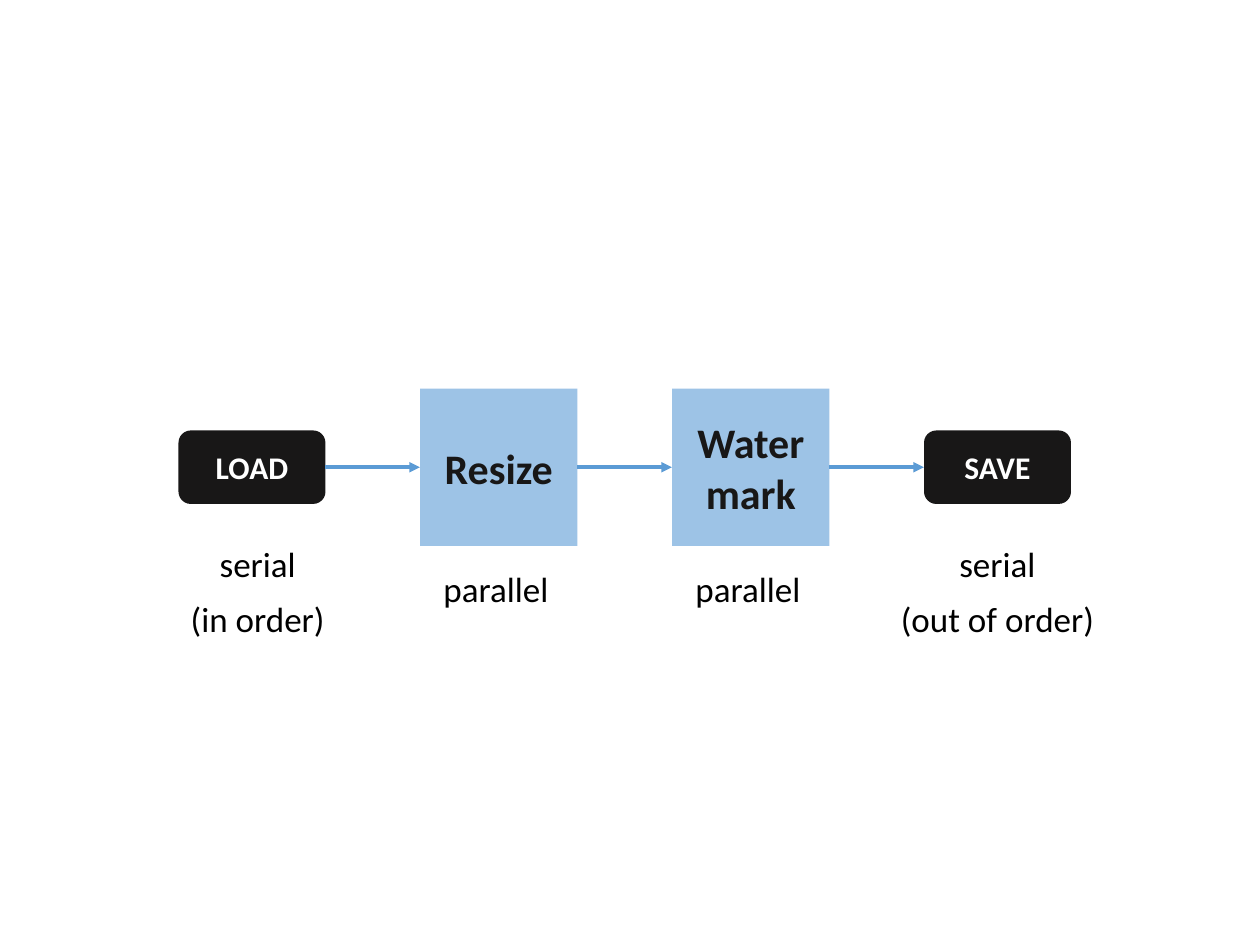
from dataclasses import dataclass

from lxml.etree import SubElement
from pptx import Presentation
from pptx.dml.color import RGBColor
from pptx.enum.shapes import MSO_CONNECTOR as Link, MSO_SHAPE as Form
from pptx.enum.text import MSO_ANCHOR as Anchor, PP_ALIGN as Align
from pptx.oxml.ns import qn
from pptx.shapes.shapetree import SlideShapes
from pptx.text.text import _Paragraph as Para
from pptx.util import Inches, Length, Pt

COLORS = {"dark": "181717", "sky": "9DC3E6", "arrow": "5B9BD5",
          "white": "FFFFFF", "black": "000000"}
FONT = "Calibri"
COLS, ROWS = 120, 90  # grid over the slide, 12 cells to the inch
START, GAP, AXIS = 17, 9, 44.5


@dataclass(frozen=True)
class Kind:
    form: Form
    wide: float
    high: float
    fill: str
    ink: str
    size: int
    note_top: float
    note_wide: float
    note_high: float
    align: Align


@dataclass(frozen=True)
class Stage:
    name: str
    kind: Kind
    notes: tuple[str, ...]
    shift: float = 0


ENDS = Kind(Form.ROUNDED_RECTANGLE, 14, 7, "dark", "white", 18,
            51.5, 23, 11.5, Align.CENTER)
STEP = Kind(Form.RECTANGLE, 15, 15, "sky", "dark", 24,
            53.9, 13, 7, Align.LEFT)
STAGES = (
    Stage("LOAD", ENDS, ("serial", "(in order)"), 0.55),
    Stage("Resize", STEP, ("parallel",), 0.05),
    Stage("Watermark", STEP, ("parallel",), 0.05),
    Stage("SAVE", ENDS, ("serial", "(out of order)")),
)


def cells(*counts: float) -> list[Length]:
    """Turn grid counts into lengths."""
    return [Inches(n / 12) for n in counts]


def color(name: str) -> RGBColor:
    return RGBColor.from_string(COLORS[name])


def add_run(para: Para, text: str, size: int, ink: str, bold: bool = False) -> None:
    run = para.add_run()
    run.text = text
    font = run.font
    font.name, font.size, font.bold = FONT, Pt(size), bold
    font.color.rgb = color(ink)


def add_box(shapes: SlideShapes, stage: Stage, left: float) -> None:
    kind = stage.kind
    box = shapes.add_shape(
        kind.form, *cells(left, AXIS - kind.high / 2, kind.wide, kind.high))
    box.shadow.inherit = False
    box.fill.solid()
    box.fill.fore_color.rgb = color(kind.fill)
    box.line.fill.background()
    frame = box.text_frame
    frame.word_wrap = True
    frame.vertical_anchor = Anchor.MIDDLE
    para = frame.paragraphs[0]
    para.alignment = Align.CENTER
    add_run(para, stage.name, kind.size, kind.ink, bold=True)


def add_label(shapes: SlideShapes, stage: Stage, mid: float) -> None:
    """Write the execution mode below a stage."""
    kind = stage.kind
    left = mid - kind.note_wide / 2 + stage.shift
    area = shapes.add_textbox(
        *cells(left, kind.note_top, kind.note_wide, kind.note_high))
    frame = area.text_frame
    frame.word_wrap = True
    for i, note in enumerate(stage.notes):
        para = frame.add_paragraph() if i else frame.paragraphs[0]
        para.alignment = kind.align
        para.line_spacing = 0.9
        para.space_before = Pt(10)
        add_run(para, note, 20, "black")


def add_arrow(shapes: SlideShapes, left: float) -> None:
    arrow = shapes.add_connector(
        Link.STRAIGHT, *cells(left, AXIS, left + GAP, AXIS))
    arrow.line.color.rgb = color("arrow")
    arrow.line.width = Pt(2)
    SubElement(arrow.line._get_or_add_ln(), qn("a:tailEnd"), type="triangle")
    SubElement(arrow._element.spPr, qn("a:effectLst"))


def main() -> None:
    deck = Presentation()
    deck.slide_width, deck.slide_height = cells(COLS, ROWS)
    shapes = deck.slides.add_slide(deck.slide_layouts[6]).shapes
    left = START
    for stage in STAGES:
        wide = stage.kind.wide
        add_box(shapes, stage, left)
        add_label(shapes, stage, left + wide / 2)
        if stage is not STAGES[-1]:
            add_arrow(shapes, left + wide)
        left += wide + GAP
    deck.save("out.pptx")


if __name__ == "__main__":
    main()
